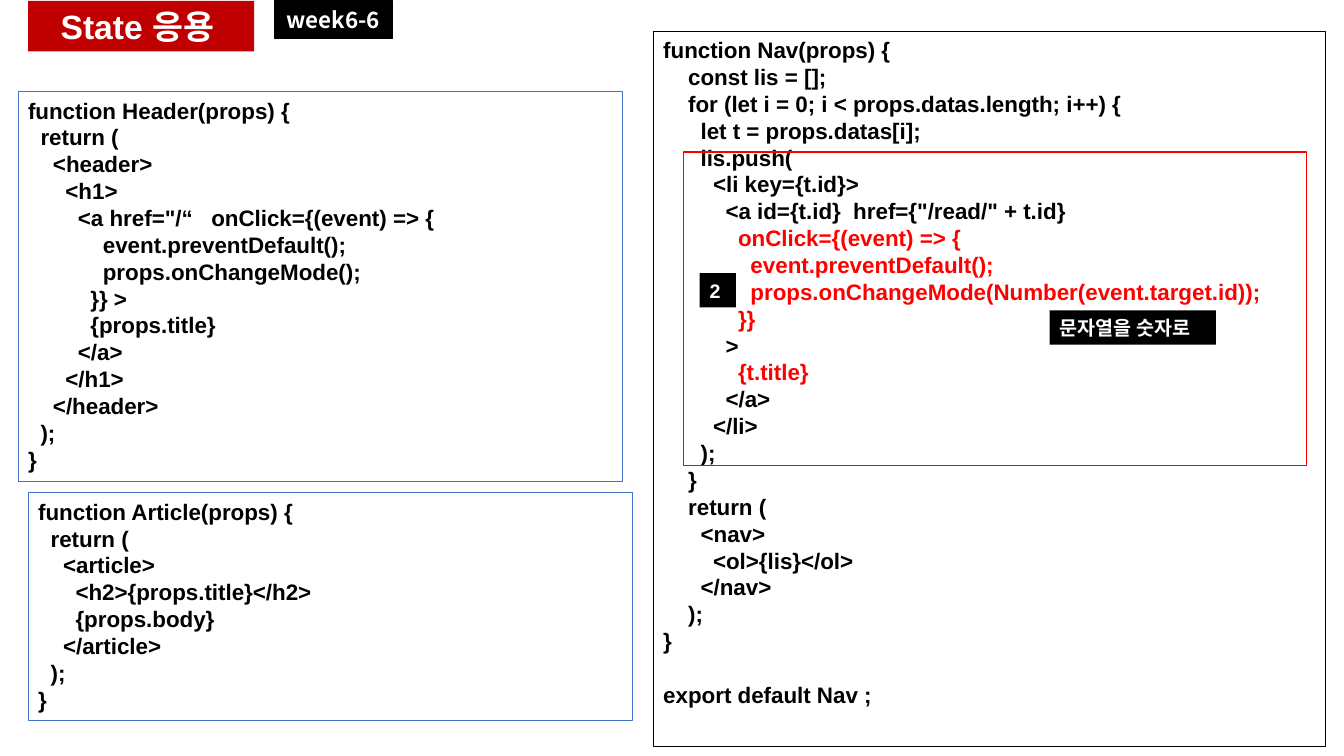
from dataclasses import dataclass
from typing import Optional

from pptx import Presentation
from pptx.dml.color import RGBColor
from pptx.enum.shapes import MSO_SHAPE
from pptx.enum.text import MSO_ANCHOR, PP_ALIGN
from pptx.util import Inches, Pt


@dataclass(frozen=True)
class Theme:
    black: str = "000000"
    white: str = "FFFFFF"
    blue: str = "4472C4"
    red: str = "FF0000"
    dark_red: str = "C00000"
    code_font: str = "Arial"
    week_font: str = "Noto Sans CJK KR"
    title_size: float = 24
    code_size: float = 16
    note_size: float = 14
    code_leading: float = 19.2
    indent_step: float = 8.9


THEME = Theme()


@dataclass(frozen=True)
class Frame:
    left: float
    top: float
    width: float
    height: float
    line: Optional[str] = None
    fill: Optional[str] = None
    weight: float = 0.75


@dataclass(frozen=True)
class CodePanel:
    frame: Frame
    code: str
    red_lines: tuple[int, ...] = ()


@dataclass(frozen=True)
class Label:
    frame: Frame
    text: str
    size: float
    font: str = THEME.code_font
    align: PP_ALIGN = PP_ALIGN.LEFT


HEADER_CODE = """function Header(props) {
  return (
    <header>
      <h1>
        <a href="/“   onClick={(event) => {
            event.preventDefault();
            props.onChangeMode();
          }} >
          {props.title}
        </a>
      </h1>
    </header>
  );
}"""

NAV_CODE = """function Nav(props) {
    const lis = [];
    for (let i = 0; i < props.datas.length; i++) {
      let t = props.datas[i];
      lis.push(
        <li key={t.id}>
          <a id={t.id}  href={"/read/" + t.id}
            onClick={(event) => {
              event.preventDefault();
              props.onChangeMode(Number(event.target.id));
            }}
          >
            {t.title}
          </a>
        </li>
      );
    }
    return (
      <nav>
        <ol>{lis}</ol>
      </nav>
    );
}

export default Nav ;"""

ARTICLE_CODE = """function Article(props) {
  return (
    <article>
      <h2>{props.title}</h2>
      {props.body}
    </article>
  );
}"""

PANELS = [
    CodePanel(Frame(0.18, 0.91, 5.99, 3.87, THEME.blue), HEADER_CODE),
    CodePanel(Frame(6.48, 0.31, 6.67, 7.1, THEME.black), NAV_CODE, (7, 8, 9, 10, 12)),
    CodePanel(Frame(0.28, 4.89, 5.99, 2.26, THEME.blue), ARTICLE_CODE),
]

NOTES = [
    Label(Frame(10.41, 3.08, 1.65, 0.34, fill=THEME.black), "문자열을 숫자로", THEME.note_size),
    Label(Frame(6.94, 2.71, 0.36, 0.34, fill=THEME.black), "2", THEME.note_size),
]

PUSH_OUTLINE = Frame(6.78, 1.51, 6.18, 3.11, THEME.red, weight=1)

HEADINGS = [
    Label(Frame(0.28, 0.01, 2.24, 0.5, fill=THEME.dark_red), "State 응용 ",
          THEME.title_size, align=PP_ALIGN.CENTER),
    Label(Frame(2.72, 0.01, 1.17, 0.37, THEME.black, THEME.black), "week6-6",
          THEME.code_size, THEME.week_font, PP_ALIGN.CENTER),
]


def add_box(page, frame: Frame):
    """Draw a plain rectangle with optional fill and line."""
    box = page.shapes.add_shape(
        MSO_SHAPE.RECTANGLE, Inches(frame.left), Inches(frame.top),
        Inches(frame.width), Inches(frame.height))
    box.shadow.inherit = False
    if frame.fill:
        box.fill.solid()
        box.fill.fore_color.rgb = RGBColor.from_string(frame.fill)
    else:
        box.fill.background()
    if frame.line:
        box.line.color.rgb = RGBColor.from_string(frame.line)
        box.line.width = Pt(frame.weight)
    else:
        box.line.fill.background()
    return box


def style_para(para, size: float, font: str, color: str, align: PP_ALIGN) -> None:
    para.alignment = align
    for span in para.runs:
        span.font.name = font
        span.font.size = Pt(size)
        span.font.bold = True
        span.font.color.rgb = RGBColor.from_string(color)


def add_code(page, panel: CodePanel) -> None:
    """Write code lines, turning leading spaces into indents and empty lines into spacing."""
    text_frame = add_box(page, panel.frame).text_frame
    text_frame.word_wrap = True
    text_frame.vertical_anchor = MSO_ANCHOR.TOP
    para, gap = text_frame.paragraphs[0], 0.0
    for number, line in enumerate(panel.code.splitlines()):
        code = line.lstrip()
        if not code:
            gap += THEME.code_leading
            continue
        if number:
            para = text_frame.add_paragraph()
        para.text = code
        para.line_spacing = Pt(THEME.code_leading)
        para.space_before = Pt(gap)
        gap = 0.0
        level = (len(line) - len(code)) // 2
        properties = para._p.get_or_add_pPr()
        properties.set("marL", str(Pt(level * THEME.indent_step)))
        properties.set("indent", "0")
        color = THEME.red if number in panel.red_lines else THEME.black
        style_para(para, THEME.code_size, THEME.code_font, color, PP_ALIGN.LEFT)


def add_label(page, label: Label) -> None:
    text_frame = add_box(page, label.frame).text_frame
    text_frame.word_wrap = False
    text_frame.vertical_anchor = MSO_ANCHOR.MIDDLE
    text_frame.text = label.text
    style_para(text_frame.paragraphs[0], label.size, label.font, THEME.white, label.align)


def main() -> None:
    deck = Presentation()
    deck.slide_width, deck.slide_height = Inches(13.33), Inches(7.5)
    page = deck.slides.add_slide(deck.slide_layouts[6])

    # Code panels
    for panel in PANELS:
        add_code(page, panel)

    # Notes and outline over the Nav code
    for note in NOTES:
        add_label(page, note)
    add_box(page, PUSH_OUTLINE)

    # Title and week tag
    for heading in HEADINGS:
        add_label(page, heading)

    deck.save("out.pptx")


if __name__ == "__main__":
    main()
